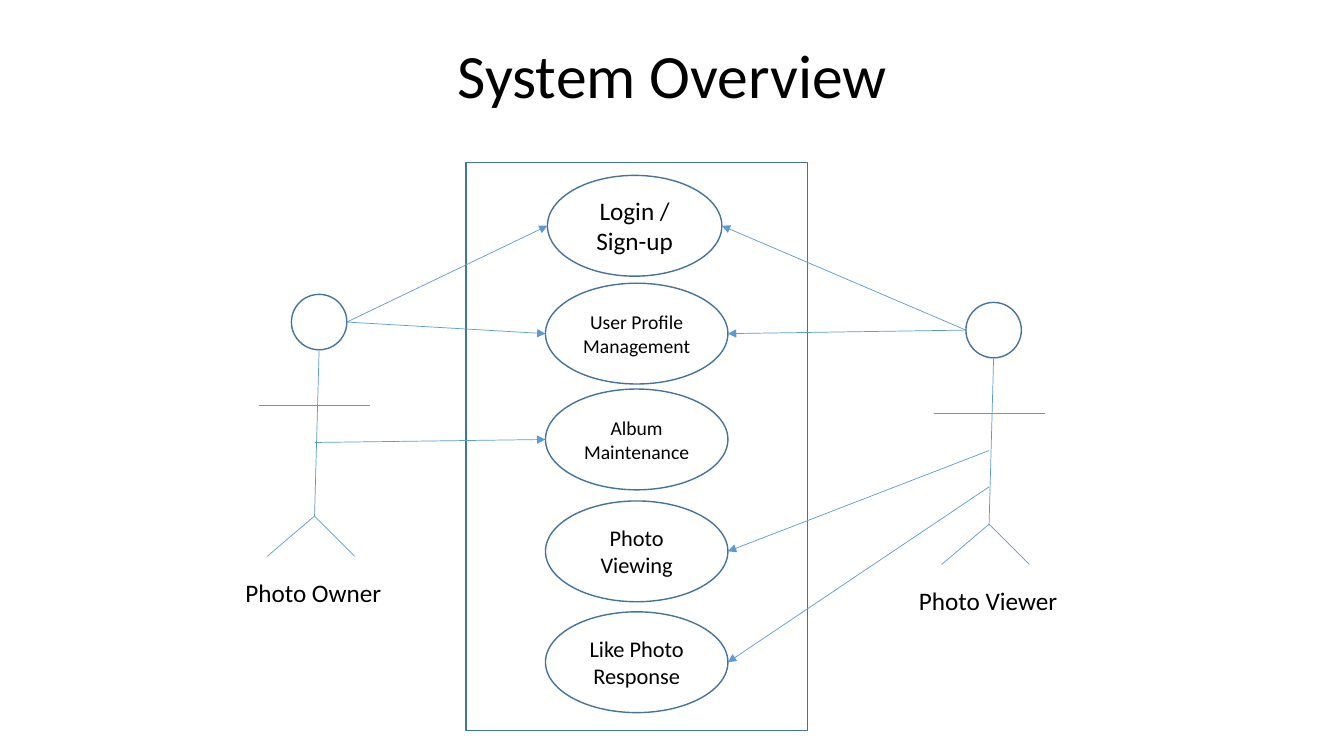
from lxml import etree
from pptx import Presentation
from pptx.dml.color import RGBColor
from pptx.enum.shapes import MSO_CONNECTOR, MSO_SHAPE
from pptx.enum.text import MSO_ANCHOR, PP_ALIGN
from pptx.oxml.ns import qn
from pptx.util import Inches, Pt

COLORS = {"outline": "43739E", "link": "5B9BD5", "text": "000000"}
FONT = "Calibri"

TITLE = ("System Overview", (0.92, 0.4, 11.5, 0.99))
SYSTEM_BOX = (4.62, 1.61, 3.39, 5.64)

# name: (text, left, top, width, font size)
USE_CASES = {
    "login": ("Login / Sign-up", 5.43, 1.74, 1.73, 18),
    "profile": ("User Profile Management", 5.41, 2.81, 1.81, 14),
    "album": ("Album Maintenance", 5.41, 3.86, 1.81, 14),
    "viewing": ("Photo Viewing", 5.41, 4.97, 1.81, 16),
    "like": ("Like Photo Response", 5.41, 6.07, 1.81, 16),
}
CASE_H = 1

# Actors: head position, label width, side facing the system box, and links
# as (use case, start height below the top of the head)
HEAD = 0.55
NECK = HEAD / 2
ACTORS = [
    {"label": "Photo Owner", "x": 2.89, "y": 2.92, "w": 1.57, "faces": "right",
     "links": [("login", NECK), ("profile", NECK), ("album", 1.47)]},
    {"label": "Photo Viewer", "x": 9.58, "y": 3, "w": 1.59, "faces": "left",
     "links": [("login", NECK), ("profile", NECK),
               ("viewing", 1.47), ("like", 1.83)]},
]
# Limbs, measured from the top left of the head
HIP = (0.23, 2.2)
LIMBS = [
    ((-0.32, 1.1), (0.78, 1.1)),
    ((NECK, HEAD), HIP),
    (HIP, (-0.24, 2.6)),
    (HIP, (0.63, 2.6)),
]
LABEL_DROP, LABEL_H = 2.76, 0.4


def rgb(name):
    return RGBColor.from_string(COLORS[name])


def write(tf, text, size, align=PP_ALIGN.CENTER, **frame):
    for key, value in frame.items():
        setattr(tf, key, value)
    p = tf.paragraphs[0]
    p.alignment = align
    r = p.add_run()
    r.text = text
    for key, value in {"name": FONT, "size": Pt(size)}.items():
        setattr(r.font, key, value)
    r.font.color.rgb = rgb("text")
    return p


def add_outline(shapes, kind, box):
    sp = shapes.add_shape(kind, *map(Inches, box))
    sp.shadow.inherit = False
    sp.fill.background()
    sp.line.color.rgb = rgb("outline")
    sp.line.width = Pt(1)
    return sp


def add_line(shapes, start, end, arrow=False):
    cxn = shapes.add_connector(MSO_CONNECTOR.STRAIGHT,
                               *map(Inches, (*start, *end)))
    cxn.line.color.rgb = rgb("link")
    cxn.line.width = Pt(0.5)
    if arrow:
        ln = cxn.line._get_or_add_ln()
        etree.SubElement(ln, qn("a:tailEnd"), type="triangle")
    etree.SubElement(cxn._element.spPr, qn("a:effectLst"))


def add_actor(shapes, actor):
    x, y = actor["x"], actor["y"]
    add_outline(shapes, MSO_SHAPE.OVAL, (x, y, HEAD, HEAD))
    for (x1, y1), (x2, y2) in LIMBS:
        add_line(shapes, (x + x1, y + y1), (x + x2, y + y2))

    left = x + HIP[0] - actor["w"] / 2
    box = (left, y + LABEL_DROP, actor["w"], LABEL_H)
    tb = shapes.add_textbox(*map(Inches, box))
    write(tb.text_frame, actor["label"], 18, PP_ALIGN.LEFT, word_wrap=False)

    faces_right = actor["faces"] == "right"
    for case, drop in actor["links"]:
        _, case_x, case_y, case_w, _ = USE_CASES[case]
        if drop == NECK:
            start_x = x + HEAD if faces_right else x
        else:
            start_x = x + HIP[0]
        end_x = case_x if faces_right else case_x + case_w
        add_line(shapes, (start_x, y + drop), (end_x, case_y + CASE_H / 2),
                 arrow=True)


def main():
    prs = Presentation()
    prs.slide_width, prs.slide_height = Inches(13.33), Inches(7.5)
    shapes = prs.slides.add_slide(prs.slide_layouts[6]).shapes

    title, box = TITLE
    tb = shapes.add_textbox(*map(Inches, box))
    write(tb.text_frame, title, 44, word_wrap=True).line_spacing = 0.9

    add_outline(shapes, MSO_SHAPE.RECTANGLE, SYSTEM_BOX)
    for text, x, y, w, size in USE_CASES.values():
        sp = add_outline(shapes, MSO_SHAPE.OVAL, (x, y, w, CASE_H))
        write(sp.text_frame, text, size, word_wrap=True,
              vertical_anchor=MSO_ANCHOR.MIDDLE)
    for actor in ACTORS:
        add_actor(shapes, actor)

    prs.save("out.pptx")


if __name__ == "__main__":
    main()
